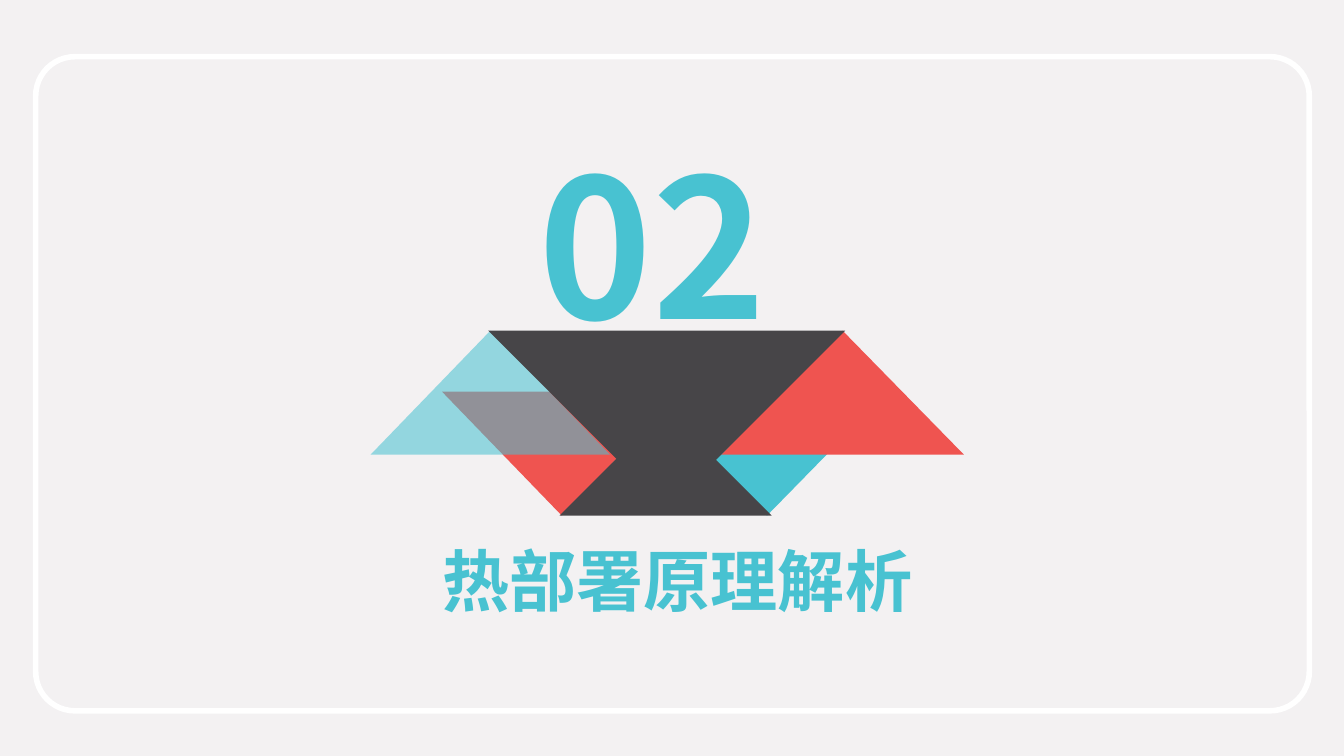
from lxml import etree
from pptx import Presentation
from pptx.dml.color import RGBColor
from pptx.enum.shapes import MSO_SHAPE
from pptx.enum.text import MSO_ANCHOR, MSO_AUTO_SIZE, PP_ALIGN
from pptx.oxml.ns import qn
from pptx.util import Pt

PX = 9525
FONT = "Noto Sans CJK SC"
TEAL, RED, DARK, WHITE, PAPER = "48C2D1", "EF5450", "474548", "FFFFFF", "F3F1F2"
TRIANGLE, ROUNDED = MSO_SHAPE.ISOSCELES_TRIANGLE, MSO_SHAPE.ROUNDED_RECTANGLE
TOP, NO_FIT = MSO_ANCHOR.TOP, MSO_AUTO_SIZE.NONE
LEFT, CENTER = PP_ALIGN.LEFT, PP_ALIGN.CENTER
TITLE_ONLY = 5


def px(*lengths):
    """Turn pixel lengths into EMU."""
    return [length * PX for length in lengths]


def paint(fill, color):
    """Make a fill solid in the given hex colour."""
    fill.solid()
    fill.fore_color.rgb = RGBColor.from_string(color)


def write(shape, text, size, align):
    """Set one bold teal line of text in a shape."""
    frame = shape.text_frame
    frame.text = text
    frame.word_wrap = True
    frame.auto_size = NO_FIT
    frame.vertical_anchor = TOP
    paragraph = frame.paragraphs[0]
    paragraph.alignment = align
    paragraph.line_spacing = Pt(round(size * 1.2))
    font = paragraph.font
    font.name, font.size, font.bold = FONT, Pt(size), True
    paint(font.fill, TEAL)
    properties = paragraph._p.pPr.find(qn("a:defRPr"))
    etree.SubElement(properties, qn("a:ea"), typeface=FONT)


def add_frame(slide, left, top, width, height):
    """Draw the white rounded outline around the slide."""
    frame = slide.shapes.add_shape(ROUNDED, *px(left, top, width, height))
    frame.adjustments[0] = 0.06
    frame.shadow.inherit = False
    frame.fill.background()
    paint(frame.line.fill, WHITE)
    frame.line.width = Pt(4)


def add_triangle(slide, left, top, width, height, color, rotation=0, opacity=100):
    """Draw one plain triangle of the emblem."""
    triangle = slide.shapes.add_shape(TRIANGLE, *px(left, top, width, height))
    triangle.rotation = rotation
    triangle.shadow.inherit = False
    triangle.line.fill.background()
    paint(triangle.fill, color)
    if opacity < 100:
        tint = triangle._element.spPr.find(qn("a:solidFill"))[0]
        etree.SubElement(tint, qn("a:alpha"), val=str(opacity * 1000))


def add_emblem(slide, left, top, width, height):
    """Fold the ribbon of triangles inside its box."""
    left_wing, right_wing, wing_height = 228, 231, 118
    fold_top = top + height - wing_height
    add_triangle(slide, left + 262, fold_top, right_wing, wing_height, TEAL, 180)
    add_triangle(slide, left + 68, fold_top, left_wing, wing_height, RED, 180)
    add_triangle(slide, left + 180, top + height - 101, 202, 101, DARK)
    add_triangle(slide, left + width - right_wing, top, right_wing, wing_height, RED)
    add_triangle(slide, left, top, left_wing, wing_height, TEAL, opacity=56)
    add_triangle(slide, left + 112, top, 340, 170, DARK, 180)


def add_number(slide, text, left, top, width, height):
    """Place the large section number."""
    box = slide.shapes.add_textbox(*px(left, top, width, height))
    write(box, text, 138, LEFT)


def place_title(slide, text, left, top, width, height):
    """Move the title placeholder below the emblem and fill it."""
    title = slide.shapes.title
    title.left, title.top, title.width, title.height = px(left, top, width, height)
    write(title, text, 48, CENTER)


def build_section(presentation, number, title):
    """Build a section slide."""
    slide = presentation.slides.add_slide(presentation.slide_layouts[TITLE_ONLY])
    paint(slide.background.fill, PAPER)
    add_frame(slide, 34, 54, 1213, 623)
    add_number(slide, number, 503, 115, 274, 232)
    place_title(slide, title, 353, 508, 584, 87)
    add_emblem(slide, 353, 315, 565, 176)


def main():
    """Create and save the presentation."""
    presentation = Presentation()
    presentation.slide_width, presentation.slide_height = px(1280, 720)
    build_section(presentation, "02", "热部署原理解析")
    presentation.save("out.pptx")


if __name__ == "__main__":
    main()
